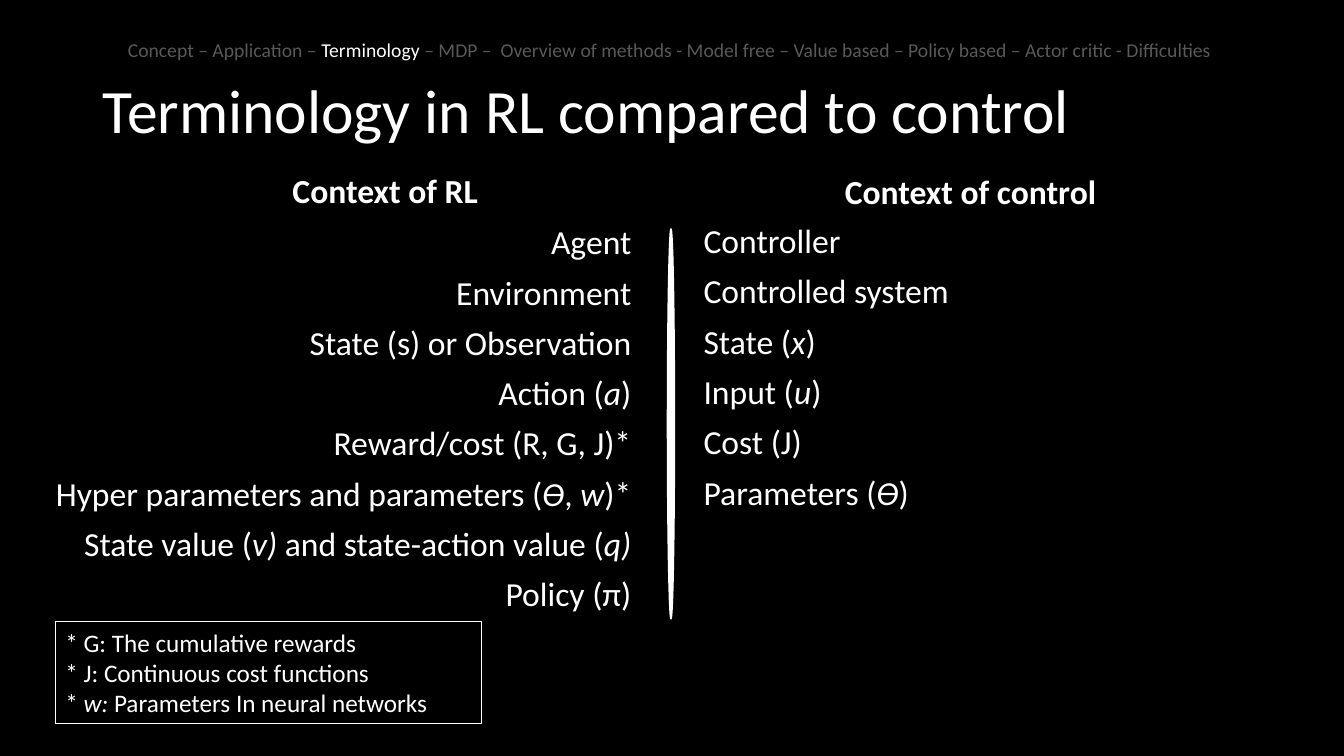
from pptx import Presentation
from pptx.dml.color import RGBColor
from pptx.enum.shapes import MSO_SHAPE
from pptx.enum.text import MSO_ANCHOR, PP_ALIGN
from pptx.util import Inches, Pt

LEFT, CENTER, RIGHT = PP_ALIGN.LEFT, PP_ALIGN.CENTER, PP_ALIGN.RIGHT
TOP, MIDDLE, BOTTOM = MSO_ANCHOR.TOP, MSO_ANCHOR.MIDDLE, MSO_ANCHOR.BOTTOM
OVAL = MSO_SHAPE.OVAL
WHITE, GRAY, BLACK = "FFFFFF", "595959", "000000"


def rgb(color):
    return RGBColor.from_string(color)


def add_text(box, lines, size=24, color=WHITE, accent=WHITE, italic=True,
             bold=False, align=LEFT, anchor=TOP, spacing=0.9, before=10):
    """Write one paragraph per line; text between bars takes the accent format."""
    sp = s.shapes.add_textbox(*map(Inches, box))
    tf = sp.text_frame
    tf.word_wrap = True
    tf.vertical_anchor = anchor
    for i, line in enumerate(lines):
        p = tf.add_paragraph() if i else tf.paragraphs[0]
        p.alignment = align
        p.line_spacing = spacing
        p.space_before = Pt(before)
        for j, part in enumerate(line.split("|")):
            accented = j % 2 == 1
            r = p.add_run()
            r.text = part
            r.font.name = "Calibri"
            r.font.size = Pt(size)
            r.font.bold = bold
            r.font.italic = accented and italic
            r.font.color.rgb = rgb(accent if accented else color)
    return sp


prs = Presentation()
prs.slide_width, prs.slide_height = Inches(13.33), Inches(7.5)
s = prs.slides.add_slide(prs.slide_layouts[6])
s.background.fill.solid()
s.background.fill.fore_color.rgb = rgb(BLACK)

# Title
add_text((0.92, 0.4, 11.5, 1.45), ["Terminology in RL compared to control"],
         size=44, anchor=MIDDLE, before=0)

# Two columns of matching terms
rl_terms = [
    "Agent",
    "Environment",
    "State (s) or Observation",
    "Action (|a|)",
    "Reward/cost (R, G, J)*",
    "Hyper parameters and parameters (|ϴ|, |w|)*",
    "State value (|v)| and state-action value (|q)",
    "Policy (π)",
]
control_terms = [
    "Controller",
    "Controlled system",
    "State (|x|)",
    "Input (|u|)",
    "Cost (J)",
    "Parameters (|ϴ|)",
]
columns = [
    ("Context of RL", (1, 1.54, 5.64, 0.6), rl_terms, (0.39, 2.19, 5.97, 4.03), RIGHT),
    ("Context of control", (6.79, 1.53, 5.67, 0.62), control_terms, (6.88, 2.18, 5.44, 4.03), LEFT),
]
for heading, heading_box, terms, terms_box, align in columns:
    add_text(heading_box, [heading], bold=True, align=CENTER, anchor=BOTTOM)
    add_text(terms_box, terms, align=align)

# Tapered divider
divider = s.shapes.add_shape(OVAL, Inches(6.62), Inches(2.27), Inches(0.07), Inches(3.87))
divider.shadow.inherit = False
divider.fill.solid()
divider.fill.fore_color.rgb = rgb(WHITE)
divider.line.color.rgb = rgb(WHITE)
divider.line.width = Pt(1)

# Framed footnotes
notes = add_text((0.55, 6.17, 4.23, 1.01), [
    "* G: The cumulative rewards",
    "* J: Continuous cost functions",
    "* |w:| Parameters In neural networks",
], size=18, spacing=1, before=0)
notes.line.color.rgb = rgb(WHITE)
notes.line.width = Pt(0.75)

# Progress line with the current section highlighted
add_text((0.49, 0.33, 12.35, 0.34), [
    "Concept – Application – |Terminology |– MDP –  Overview of methods - Model free"
    " – Value based – Policy based – Actor critic - Difficulties ",
], size=14, color=GRAY, italic=False, align=CENTER, spacing=1, before=0)

prs.save("out.pptx")
